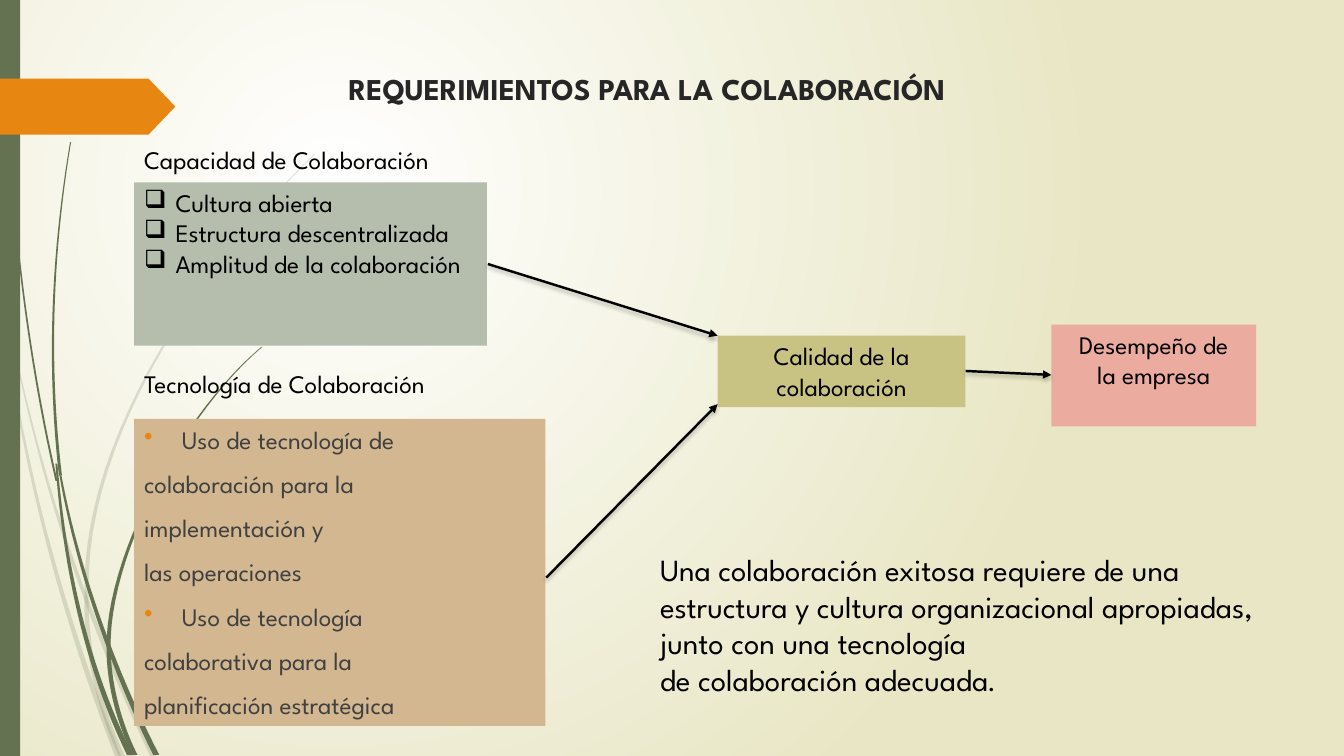
"""Builds the slide on the requirements for collaboration."""
from lxml.etree import SubElement
from pptx import Presentation
from pptx.dml.color import RGBColor
from pptx.enum.shapes import MSO_CONNECTOR as Connector, MSO_SHAPE as Shape
from pptx.enum.text import MSO_ANCHOR as Anchor, PP_ALIGN as Align
from pptx.oxml.ns import qn
from pptx.util import Pt

BLACK = RGBColor(0x00, 0x00, 0x00)
TITLE_INK = RGBColor(0x26, 0x26, 0x26)
BODY_INK = RGBColor(0x40, 0x40, 0x40)
WHITE = RGBColor(0xFF, 0xFF, 0xFF)
CREAM = RGBColor(0xE8, 0xE6, 0xC4)
MOSS = RGBColor(0x64, 0x72, 0x52)
ORANGE = RGBColor(0xE7, 0x87, 0x12)
TAN = RGBColor(0xD2, 0xB7, 0x90)
SAGE = RGBColor(0xB5, 0xBE, 0xAD)
OLIVE = RGBColor(0xC8, 0xC3, 0x82)
PINK = RGBColor(0xEB, 0xAB, 0x9F)
FONT = "League Spartan"
WISP_UNIT = 0.72
CURVE_STEPS = 24

PALE_WISPS = [
    ([(0, 290), (20, 450), (58, 600), (117, 750)], 1, 6),
    ([(14, 345), (45, 490), (85, 610), (152, 750)], 1, 6),
    ([(312, 153), (208, 254), (83, 430), (86, 586)], 1, 4),
    ([(86, 586), (84, 640), (97, 700), (121, 750)], 4, 6),
]
DARK_WISPS = [
    ([(4, 0), (6, 160), (20, 320), (56, 477)], 1, 2),
    ([(70, 141), (50, 260), (48, 370), (60, 472)], 1, 3),
    ([(56, 460), (64, 560), (85, 660), (129, 749)], 2, 6),
    ([(60, 472), (76, 560), (110, 660), (155, 749)], 2, 6),
    ([(260, 344), (186, 406), (112, 540), (108, 632)], 1, 4),
    ([(108, 632), (106, 672), (117, 715), (134, 749)], 4, 5),
]
PANELS = [
    ((95.8, 299.3, 293.8, 219.3), TAN,
     ["Uso de tecnología de", "colaboración para la", "implementación y", "las operaciones",
      "Uso de tecnología", "colaborativa para la", "planificación estratégica"],
     dict(color=BODY_INK, gap=10, bullet="•", bulleted=(0, 4), indent=27, bullet_color=ORANGE)),
    ((95.8, 130.3, 252, 116.6), SAGE,
     ["Cultura abierta", "Estructura descentralizada", "Amplitud de la colaboración"],
     dict(bullet="❑", bulleted=(0, 1, 2), indent=22.5)),
    ((512.6, 239.8, 177.1, 51.1), OLIVE, ["Calidad de la", "colaboración"], dict(align=Align.CENTER)),
    ((751, 231.8, 146.2, 72.7), PINK, ["Desempeño de", "la empresa"], dict(align=Align.CENTER)),
]
LABELS = [
    ((241.9, 46.8, 541.4, 53.3), ["REQUERIMIENTOS PARA LA COLABORACIÓN"],
     dict(size=21.6, color=TITLE_INK, bold=True)),
    ((464.4, 389.5, 480.2, 113.8),
     ["Una colaboración exitosa requiere de una estructura y cultura organizacional apropiadas, "
      "junto con una tecnología", "de colaboración adecuada"], dict(size=22, ending=(".", "Karla"))),
    ((95.8, 99.4, 293.8, 28.8), ["Capacidad de Colaboración"], {}),
    ((95.8, 259.9, 293.8, 28.8), ["Tecnología de Colaboración"], {}),
]
ARROWS = [(348.5, 188.6, 512.6, 239.8), (390.2, 412.6, 512.6, 288.7), (689.8, 265, 751, 267.8)]


def points(values):
    return [Pt(value) for value in values]


def add(parent, tag, **attributes):
    return SubElement(parent, qn(tag), {key: str(value) for key, value in attributes.items()})


def paint(shape, color):
    shape.shadow.inherit = False
    shape.fill.solid()
    shape.fill.fore_color.rgb = color
    shape.line.fill.background()
    return shape


def write(box, lines, size=18, color=BLACK, bold=False, align=Align.LEFT, gap=0,
          bullet="", bulleted=(), indent=0, bullet_color=None, ending=None):
    frame = box.text_frame
    frame.word_wrap = True
    frame.vertical_anchor = Anchor.TOP
    for index, line in enumerate(lines):
        para = frame.add_paragraph() if index else frame.paragraphs[0]
        para.alignment = align
        para.space_before = Pt(gap if index else 0)
        if index in bulleted:
            properties = para._p.get_or_add_pPr()
            properties.set("marL", str(Pt(indent)))
            properties.set("indent", str(-Pt(indent)))
            if bullet_color:
                add(add(properties, "a:buClr"), "a:srgbClr", val=bullet_color)
            add(properties, "a:buChar", char=bullet)
        spans = [(line, FONT)]
        if ending and index == len(lines) - 1:
            spans.append(ending)
        for text, font in spans:
            span = para.add_run()
            span.text = text
            span.font.name, span.font.size, span.font.bold = font, Pt(size), bold
            span.font.color.rgb = color


def add_wisp(page, curve, start_width, end_width, opacity):
    left_edge, right_edge = [], []
    for step in range(CURVE_STEPS + 1):
        t = step / CURVE_STEPS
        weights = ((1 - t) ** 3, 3 * t * (1 - t) ** 2, 3 * t * t * (1 - t), t ** 3)
        x, y = (sum(w * node[axis] for w, node in zip(weights, curve)) for axis in (0, 1))
        half = (start_width + (end_width - start_width) * t) / 2
        left_edge.append(points((WISP_UNIT * max(x - half, 0), WISP_UNIT * y)))
        right_edge.append(points((WISP_UNIT * (x + half), WISP_UNIT * y)))
    builder = page.shapes.build_freeform(*left_edge[0])
    builder.add_line_segments(left_edge[1:] + right_edge[::-1], close=True)
    wisp = paint(builder.convert_to_shape(), MOSS)
    add(wisp._element.spPr.find(qn("a:solidFill"))[0], "a:alpha", val=opacity * 1000)


def add_arrow(page, ends):
    arrow = page.shapes.add_connector(Connector.STRAIGHT, *points(ends))
    arrow.line.color.rgb = BLACK
    arrow.line.width = Pt(1.75)
    add(arrow.line._get_or_add_ln(), "a:tailEnd", type="triangle")
    shadow = add(add(arrow._element.spPr, "a:effectLst"), "a:outerShdw",
                 blurRad=Pt(3), dist=Pt(2), dir=90 * 60000, rotWithShape=0)
    add(add(shadow, "a:srgbClr", val=BLACK), "a:alpha", val=25000)


def set_background(page):
    page.background.fill.solid()
    solid = page.element.xpath(".//p:bgPr/a:solidFill")[0]
    gradient = solid.makeelement(qn("a:gradFill"), {"rotWithShape": "1"})
    stops = add(gradient, "a:gsLst")
    for position, color in ((0, WHITE), (100000, CREAM)):
        add(add(stops, "a:gs", pos=position), "a:srgbClr", val=color)
    add(add(gradient, "a:path", path="circle"), "a:fillToRect", l=50000, t=50000, r=100000, b=100000)
    solid.getparent().replace(solid, gradient)


def main():
    deck = Presentation()
    deck.slide_width, deck.slide_height = points((960, 540))
    page = deck.slides.add_slide(deck.slide_layouts[6])
    set_background(page)
    for wisps, opacity in ((PALE_WISPS, 20), (DARK_WISPS, 100)):
        for curve, start_width, end_width in wisps:
            add_wisp(page, curve, start_width, end_width, opacity)
    paint(page.shapes.add_shape(Shape.RECTANGLE, *points((0, 0, 14.4, 540))), MOSS)
    tab = paint(page.shapes.add_shape(Shape.PENTAGON, *points((0, 56.2, 125.3, 39.9))), ORANGE)
    tab.adjustments[0] = 0.48
    for place, color, lines, style in PANELS:
        write(paint(page.shapes.add_shape(Shape.RECTANGLE, *points(place)), color), lines, **style)
    for place, lines, style in LABELS:
        write(page.shapes.add_textbox(*points(place)), lines, **style)
    for ends in ARROWS:
        add_arrow(page, ends)
    deck.save("out.pptx")


if __name__ == "__main__":
    main()
